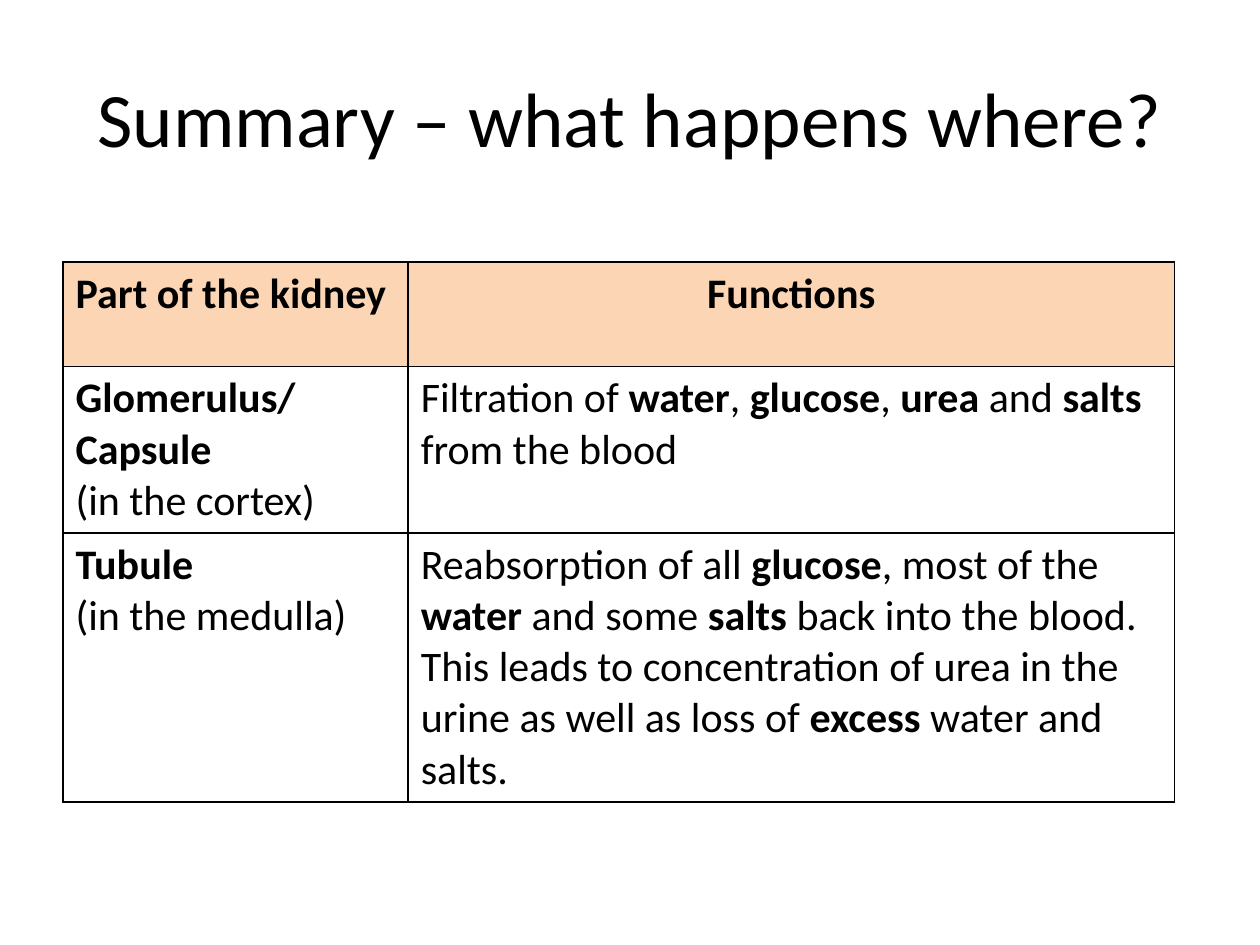
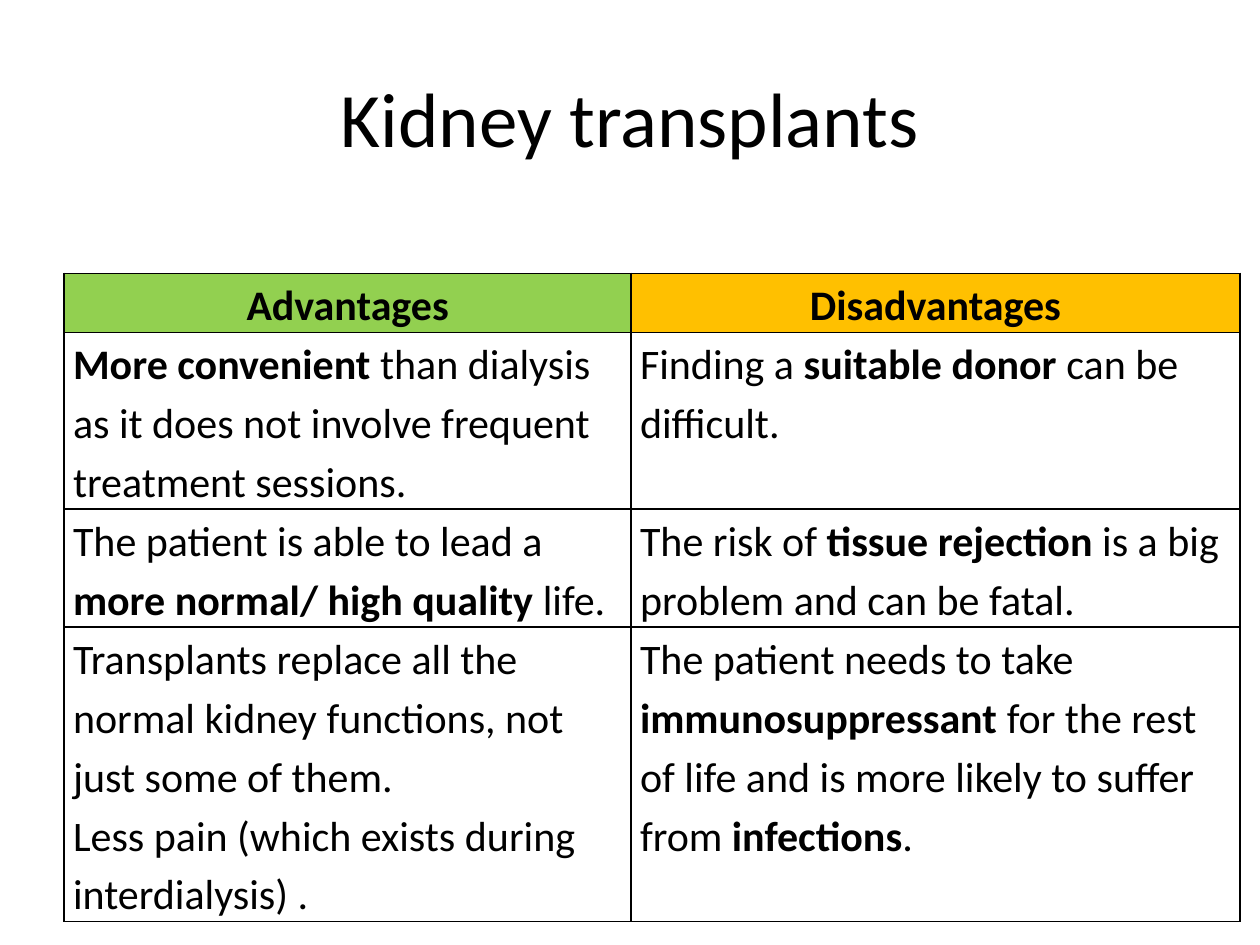
from dataclasses import dataclass

from lxml.etree import SubElement
from pptx import Presentation
from pptx.dml.color import RGBColor
from pptx.enum.text import MSO_ANCHOR, PP_ALIGN
from pptx.oxml.ns import qn
from pptx.util import Emu, Pt

# Shared style: 100 px to the inch
EMU_PER_PX = 9144
FONT = "Calibri"
TITLE_SIZE = Pt(44)
CELL_SIZE = Pt(24)
BORDER_WIDTH = Pt(1)
BLACK = RGBColor(0x00, 0x00, 0x00)
PEACH = RGBColor(0xFC, 0xD5, 0xB5)
GREEN = RGBColor(0x92, 0xD0, 0x50)
AMBER = RGBColor(0xFF, 0xC0, 0x00)


@dataclass(frozen=True)
class Heading:
    text: str
    fill: RGBColor
    align: PP_ALIGN = PP_ALIGN.CENTER


@dataclass(frozen=True)
class TableSlide:
    """Body cells mark bold with ** and split paragraphs with a line break."""
    title: str
    left: int
    top: int
    columns: tuple[int, ...]
    rows: tuple[int, ...]
    headings: tuple[Heading, ...]
    body: tuple[tuple[str, ...], ...]
    side_inset: int = 10
    end_inset: int = 5
    line_spacing: float = 1.0


KIDNEY_PARTS = TableSlide(
    title="Summary – what happens where?",
    left=50, top=208, columns=(274, 608), rows=(83, 132, 213),
    headings=(
        Heading("Part of the kidney", PEACH, PP_ALIGN.LEFT),
        Heading("Functions", PEACH),
    ),
    body=(
        ("**Glomerulus/ Capsule**\n(in the cortex)",
         "Filtration of **water**, **glucose**, **urea** and **salts** from the blood"),
        ("**Tubule**\n(in the medulla)",
         "Reabsorption of all **glucose**, most of the **water** and some **salts** "
         "back into the blood.\n"
         "This leads to concentration of urea in the urine as well as loss of "
         "**excess** water and salts."),
    ),
)

TRANSPLANTS = TableSlide(
    title="Kidney transplants",
    left=51, top=217, columns=(450, 483), rows=(46, 140, 93, 233),
    headings=(Heading("Advantages", GREEN), Heading("Disadvantages", AMBER)),
    body=(
        ("**More convenient **than dialysis as it does not involve frequent "
         "treatment sessions.",
         "Finding a **suitable donor **can be difficult."),
        ("The patient is able to lead a **more normal/ high quality **life.",
         "The risk of **tissue rejection **is a big problem and can be fatal."),
        ("Transplants replace all the normal kidney functions, not just some of them.\n"
         "Less pain (which exists during interdialysis) .",
         "The patient needs to take **immunosuppressant **for the rest of life and "
         "is more likely to suffer from **infections**."),
    ),
    side_inset=7, end_inset=0, line_spacing=1.15,
)


def px(length: int) -> Emu:
    return Emu(length * EMU_PER_PX)


def add_run(paragraph, text: str, size: Pt, bold: bool = False) -> None:
    run = paragraph.add_run()
    run.text = text
    run.font.name = FONT
    run.font.size = size
    run.font.bold = bold
    run.font.color.rgb = BLACK


def add_borders(cell) -> None:
    properties = cell._tc.get_or_add_tcPr()
    for side in ("a:lnL", "a:lnR", "a:lnT", "a:lnB"):
        line = SubElement(properties, qn(side), w=str(BORDER_WIDTH))
        fill = SubElement(line, qn("a:solidFill"))
        SubElement(fill, qn("a:srgbClr"), val=str(BLACK))


def write_cell(cell, text: str, spec: TableSlide, align: PP_ALIGN) -> None:
    cell.margin_left = cell.margin_right = px(spec.side_inset)
    cell.margin_top = cell.margin_bottom = px(spec.end_inset)
    frame = cell.text_frame
    for index, line in enumerate(text.split("\n")):
        paragraph = frame.add_paragraph() if index else frame.paragraphs[0]
        paragraph.alignment = align
        paragraph.line_spacing = spec.line_spacing
        # Every second piece lies between bold marks
        for piece, words in enumerate(line.split("**")):
            if words:
                add_run(paragraph, words, CELL_SIZE, bold=piece % 2 == 1)


def add_title(slide, text: str) -> None:
    title = slide.shapes.title
    title.left, title.top = px(50), px(30)
    title.width, title.height = px(900), px(125)
    title.text_frame.vertical_anchor = MSO_ANCHOR.MIDDLE
    paragraph = title.text_frame.paragraphs[0]
    paragraph.alignment = PP_ALIGN.CENTER
    add_run(paragraph, text, TITLE_SIZE)


def add_comparison(slide, spec: TableSlide) -> None:
    table = slide.shapes.add_table(
        len(spec.rows), len(spec.columns), px(spec.left), px(spec.top),
        px(sum(spec.columns)), px(sum(spec.rows))).table
    table.first_row = table.horz_banding = False
    for column, width in zip(table.columns, spec.columns):
        column.width = px(width)
    for row, height in zip(table.rows, spec.rows):
        row.height = px(height)
    for cell in table.iter_cells():
        add_borders(cell)

    # Coloured heading row
    for column, heading in enumerate(spec.headings):
        cell = table.cell(0, column)
        cell.fill.solid()
        cell.fill.fore_color.rgb = heading.fill
        write_cell(cell, f"**{heading.text}**", spec, heading.align)

    # Plain body rows
    for row, texts in enumerate(spec.body, start=1):
        for column, text in enumerate(texts):
            cell = table.cell(row, column)
            cell.fill.background()
            write_cell(cell, text, spec, PP_ALIGN.LEFT)


def main() -> None:
    deck = Presentation()
    deck.slide_width, deck.slide_height = px(1000), px(750)
    title_only = deck.slide_layouts[5]
    for content in (KIDNEY_PARTS, TRANSPLANTS):
        slide = deck.slides.add_slide(title_only)
        add_title(slide, content.title)
        add_comparison(slide, content)
    deck.save("out.pptx")


if __name__ == "__main__":
    main()
